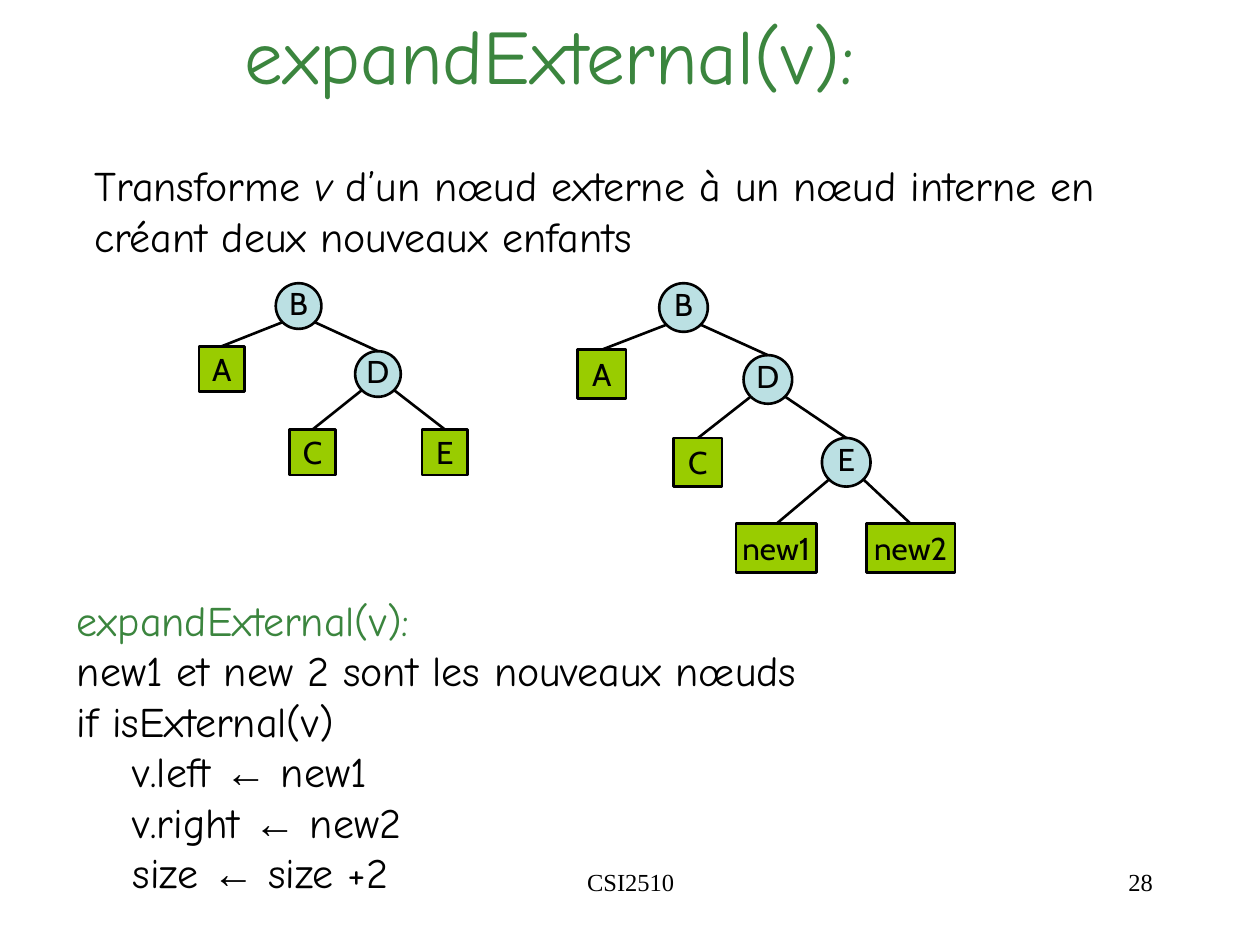
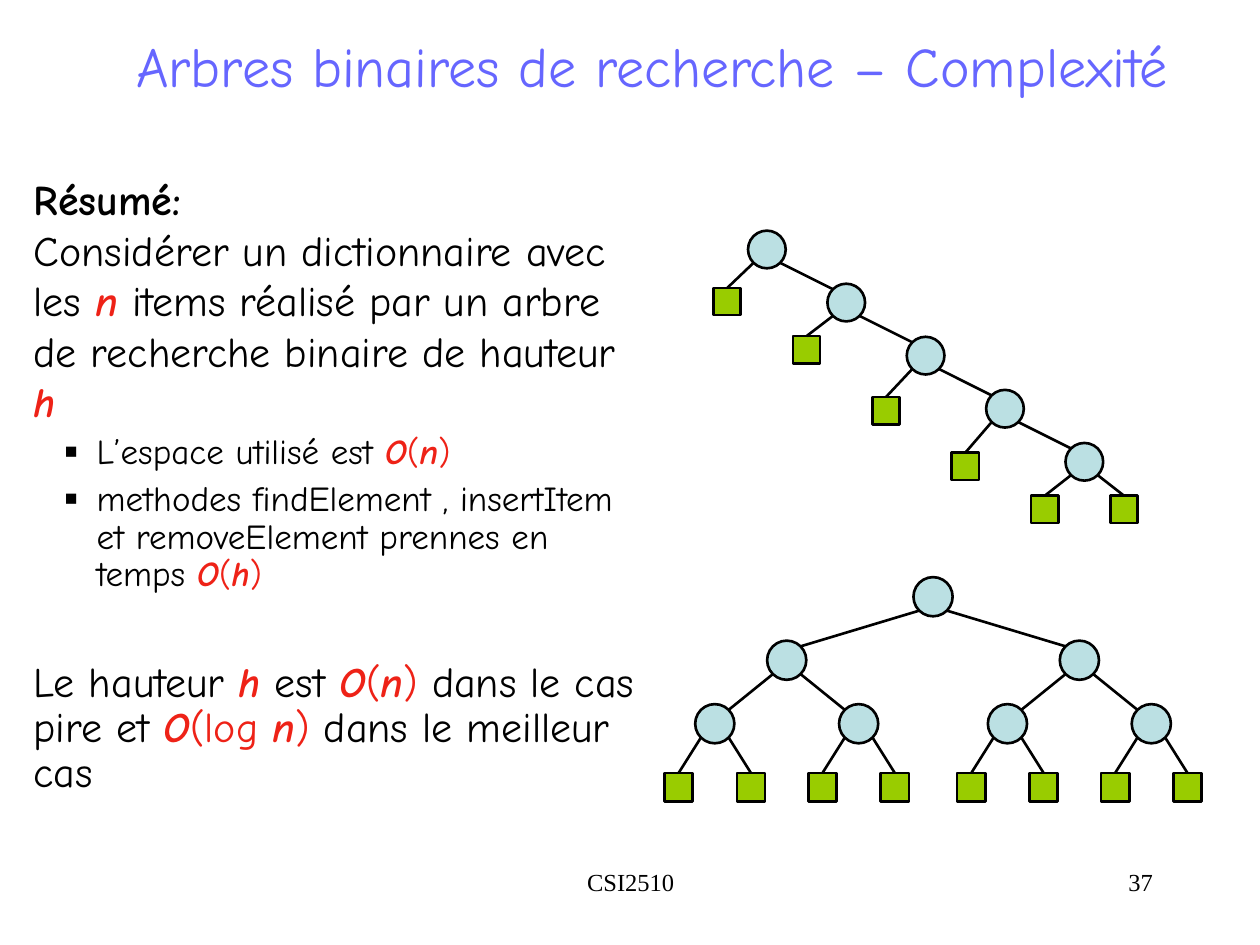
"""Build two slides on binary search trees: external expansion and complexity."""
import dataclasses

import pptx
import pptx.dml.color
import pptx.enum.shapes
import pptx.enum.text
import pptx.oxml.ns
import pptx.util
from lxml import etree

Cm = pptx.util.Cm
Pt = pptx.util.Pt
qn = pptx.oxml.ns.qn
ALIGN = pptx.enum.text.PP_ALIGN
ANCHOR = pptx.enum.text.MSO_ANCHOR
SHAPE = pptx.enum.shapes.MSO_SHAPE

BLACK, GREEN, RED, VIOLET = "000000", "3B853E", "EE2217", "6666FF"
NODE_FILL, LEAF_FILL = "BBE0E3", "99CC00"
BODY, LABEL, FOOTER, SYMBOL = "Comic Neue", "Cabin", "Times New Roman", "Arial"
DIAGONAL = 0.71

VARIABLE = {"color": RED, "bold": True, "italic": True}
ARROW = ("←", {"font": SYMBOL})


@dataclasses.dataclass
class Node:
    x: float
    y: float
    label: str = ""
    kids: tuple = ()
    width: float = 0


def rgb(hex_color):
    return pptx.dml.color.RGBColor.from_string(hex_color)


def var(name):
    return (name, VARIABLE)


def big_o(name, prefix="("):
    return [var("O"), (prefix, {"color": RED}), var(name), (")", {"color": RED})]


def write(p, parts, align=ALIGN.LEFT, before=0, spacing=None, **style):
    """Fill a paragraph with plain strings or (string, style) pairs."""
    p.alignment = align
    p.space_before = Pt(before)
    if spacing:
        p.line_spacing = spacing
    for part in [parts] if isinstance(parts, str) else parts:
        words, extra = (part, {}) if isinstance(part, str) else part
        fmt = {"size": 24, "font": BODY, "color": BLACK, "bold": False,
               "italic": False, **style, **extra}
        r = p.add_run()
        r.text = words
        r.font.size = Pt(fmt["size"])
        r.font.name = fmt["font"]
        r.font.bold = fmt["bold"]
        r.font.italic = fmt["italic"]
        r.font.color.rgb = rgb(fmt["color"])


def add_bullet(p):
    pPr = p._p.get_or_add_pPr()
    pPr.set("marL", str(Cm(1.27)))
    pPr.set("indent", str(-Cm(0.64)))
    color = etree.SubElement(pPr, qn("a:buClr"))
    etree.SubElement(color, qn("a:srgbClr"), val=BLACK)
    etree.SubElement(pPr, qn("a:buSzPct"), val="60000")
    etree.SubElement(pPr, qn("a:buFont"), typeface=SYMBOL)
    etree.SubElement(pPr, qn("a:buChar"), char="■")


class Deck:
    def __init__(self):
        self.prs = pptx.Presentation()
        self.prs.slide_width, self.prs.slide_height = Cm(25.4), Cm(19.05)
        self.s = None

    def slide(self, number):
        self.s = self.prs.slides.add_slide(self.prs.slide_layouts[5])
        small = {"size": 14, "font": FOOTER}
        self.text(8.69, 17.35, 8.05, 1.27, [("CSI2510", {"align": ALIGN.CENTER, **small})])
        self.text(18.21, 17.35, 5.28, 1.27, [(number, {"align": ALIGN.RIGHT, **small})])

    def title(self, x, y, w, h, words, **fmt):
        sp = self.s.shapes.title
        sp.left, sp.top, sp.width, sp.height = Cm(x), Cm(y), Cm(w), Cm(h)
        tf = sp.text_frame
        tf.auto_size = pptx.enum.text.MSO_AUTO_SIZE.NONE
        tf.vertical_anchor = ANCHOR.TOP
        write(tf.paragraphs[0], words, **fmt)

    def text(self, x, y, w, h, paragraphs):
        tf = self.s.shapes.add_textbox(Cm(x), Cm(y), Cm(w), Cm(h)).text_frame
        tf.word_wrap = True
        for i, (parts, fmt) in enumerate(paragraphs):
            p = tf.add_paragraph() if i else tf.paragraphs[0]
            options = dict(fmt)
            if options.pop("bullet", False):
                add_bullet(p)
            write(p, parts, **options)

    def node(self, node, size):
        w = node.width or size
        kind, fill = (SHAPE.OVAL, NODE_FILL) if node.kids else (SHAPE.RECTANGLE, LEAF_FILL)
        sp = self.s.shapes.add_shape(kind, Cm(node.x - w / 2), Cm(node.y - size / 2),
                                     Cm(w), Cm(size))
        sp.shadow.inherit = False
        sp.fill.solid()
        sp.fill.fore_color.rgb = rgb(fill)
        sp.line.color.rgb = rgb(BLACK)
        sp.line.width = Pt(1.5)
        if node.label:
            tf = sp.text_frame
            tf.word_wrap = False
            tf.vertical_anchor = ANCHOR.MIDDLE
            if node.kids:
                tf.margin_left = tf.margin_right = tf.margin_top = 0
            write(tf.paragraphs[0], node.label, ALIGN.CENTER, size=18, font=LABEL)
        return sp

    def edge(self, parent, kid, kid_shape, size, to_top):
        side = 1 if kid.x > parent.x else -1
        reach = DIAGONAL * size / 2
        c = self.s.shapes.add_connector(
            pptx.enum.shapes.MSO_CONNECTOR.STRAIGHT,
            Cm(parent.x + side * reach), Cm(parent.y + reach),
            Cm(kid.x - side * reach), Cm(kid.y - reach))
        if to_top or not kid.kids:
            c.end_connect(kid_shape, 0)
        c.line.color.rgb = rgb(BLACK)
        c.line.width = Pt(1.5)
        etree.SubElement(c._element.spPr, qn("a:effectLst"))

    def tree(self, root, size, leaf_size, to_top=False):
        sp = self.node(root, size if root.kids else leaf_size)
        for kid in root.kids:
            kid_shape = self.tree(kid, size, leaf_size, to_top)
            self.edge(root, kid, kid_shape, size, to_top)
        return sp


def chain(x, y, leaf_rows):
    leaf = Node(x - 0.8, leaf_rows[0])
    if len(leaf_rows) == 1:
        return Node(x, y, kids=(leaf, Node(x + 0.8, leaf_rows[0])))
    return Node(x, y, kids=(leaf, chain(x + 1.6, y + 1.07, leaf_rows[1:])))


def balanced(x, y, spreads):
    if not spreads:
        return Node(x, y)
    kids = (balanced(x + side * spreads[0], y + 1.28, spreads[1:]) for side in (-1, 1))
    return Node(x, y, kids=tuple(kids))


def expand_slide(deck):
    deck.slide("28")
    deck.title(4.3, 0.03, 13.56, 2.13, "expandExternal(v):",
               align=ALIGN.CENTER, size=44, color=GREEN)
    deck.text(1.65, 3.1, 21.64, 2.29, [
        (["Transforme ", ("v", {"italic": True}),
          " d’un nœud externe à un nœud interne en créant deux nouveaux enfants"], {})])
    deck.text(1.3, 11.86, 15.6, 6.35, [
        ("expandExternal(v):", {"color": GREEN}),
        ("new1 et new 2 sont les nouveaux nœuds", {}),
        ("if isExternal(v)", {}),
        (["    v.left ", ARROW, " new1"], {}),
        (["    v.right ", ARROW, " new2"], {}),
        (["    size ", ARROW, " size +2"], {})])

    before = Node(6.02, 6.17, "B", (
        Node(4.47, 7.44, "A"),
        Node(7.62, 7.54, "D", (Node(6.3, 9.12, "C"), Node(8.97, 9.12, "E")))))
    expanded = Node(17.06, 9.32, "E", (
        Node(15.65, 11.05, "new1", width=1.63), Node(18.36, 11.05, "new2", width=1.78)))
    after = Node(13.78, 6.2, "B", (
        Node(12.13, 7.54, "A"),
        Node(15.48, 7.65, "D", (Node(14.07, 9.32, "C"), expanded))))
    deck.tree(before, 0.92, 0.92, to_top=True)
    deck.tree(after, 0.98, 0.98, to_top=True)


def complexity_slide(deck):
    deck.slide("37")
    deck.title(2.49, 0.51, 21.9, 2.97, "Arbres binaires de recherche – Complexité",
               size=32, color=VIOLET)
    item = {"bullet": True, "size": 20, "before": 5, "spacing": 0.9}
    deck.text(0.43, 3.38, 12.7, 12.83, [
        ("Résumé:", {"bold": True}),
        (["Considérer un dictionnaire avec les ", var("n"),
          " items réalisé par un arbre de recherche binaire de hauteur ", var("h")], {}),
        (["L’espace utilisé est ", *big_o("n")], item),
        (["methodes findElement , insertItem et removeElement prennes en temps ",
          *big_o("h")], item),
        (["Le hauteur ", var("h"), " est ", *big_o("n"), " dans le cas pire et ",
          *big_o("n", "(log "), " dans le meilleur cas"], {"before": 38, "spacing": 0.9})])
    deck.tree(chain(15.46, 5.03, (6.08, 7.05, 8.28, 9.4, 10.27)), 0.76, 0.55)
    deck.tree(balanced(18.81, 12.03, (2.95, 1.45, 0.73)), 0.79, 0.57)


def main():
    deck = Deck()
    expand_slide(deck)
    complexity_slide(deck)
    deck.prs.save("out.pptx")


if __name__ == "__main__":
    main()
